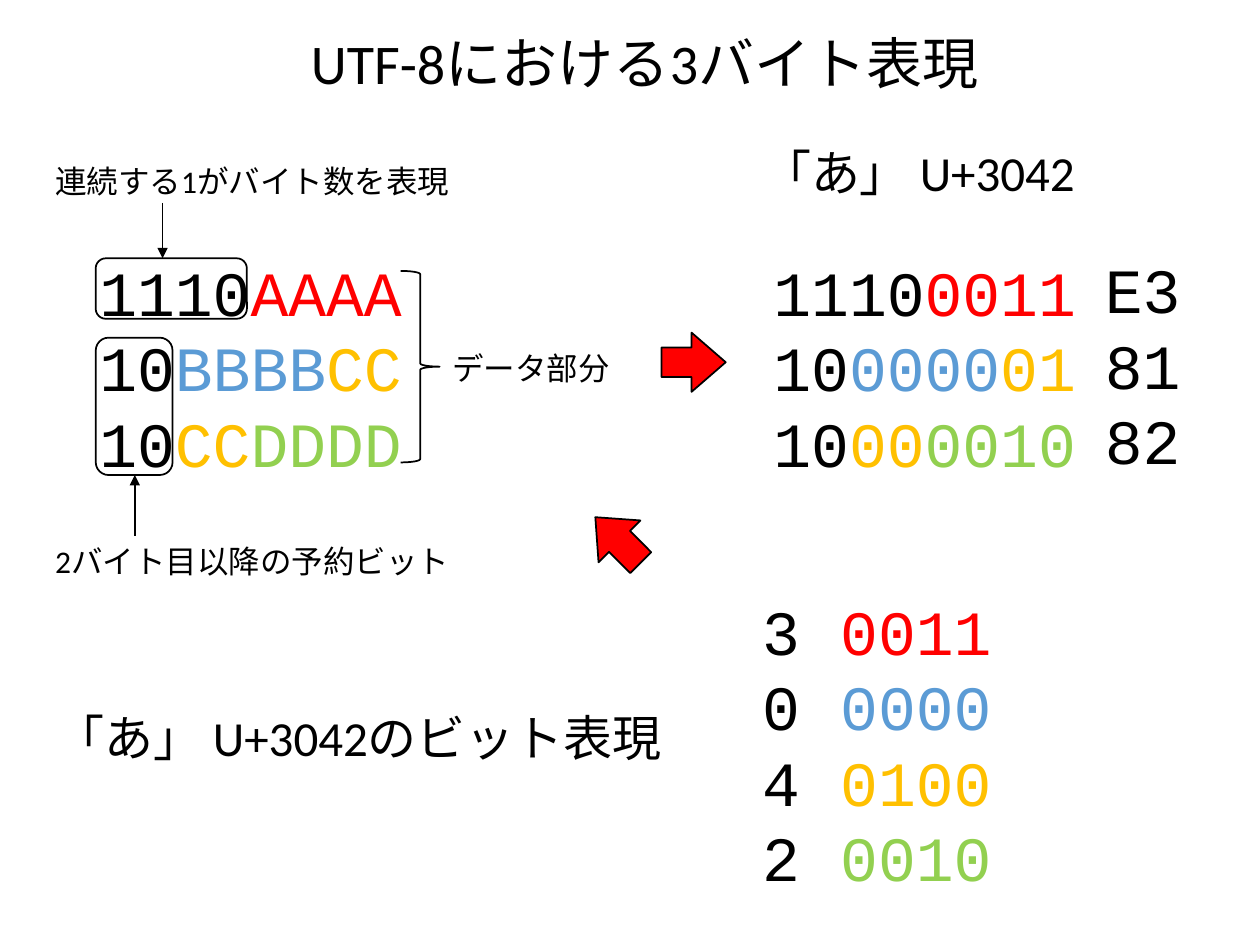
from lxml.etree import SubElement
from pptx import Presentation
from pptx.dml.color import RGBColor
from pptx.enum.shapes import MSO_CONNECTOR, MSO_SHAPE
from pptx.oxml.ns import qn
from pptx.util import Inches, Pt

BLACK = RGBColor(0x00, 0x00, 0x00)
RED = RGBColor(0xFF, 0x00, 0x00)
BLUE = RGBColor(0x5B, 0x9B, 0xD5)
GOLD = RGBColor(0xFF, 0xC0, 0x00)
GREEN = RGBColor(0x92, 0xD0, 0x50)


def add_text(slide, box, rows, size, font="Calibri", wrap=True):
    """Each row is a list of (text, colour) runs."""
    frame = slide.shapes.add_textbox(*map(Inches, box)).text_frame
    frame.word_wrap = wrap
    for index, row in enumerate(rows):
        paragraph = frame.add_paragraph() if index else frame.paragraphs[0]
        for text, colour in row:
            run = paragraph.add_run()
            run.text = text
            run.font.size = Pt(size)
            run.font.name = font
            run.font.color.rgb = colour


def add_label(slide, box, text, size=18):
    add_text(slide, box, [[(text, BLACK)]], size)


def add_code(slide, box, rows):
    add_text(slide, box, rows, 36, "Courier New", wrap=False)


def add_outline(slide, preset, box, fill=None):
    shape = slide.shapes.add_shape(preset, *map(Inches, box))
    shape.shadow.inherit = False
    if fill is None:
        shape.fill.background()
    else:
        shape.fill.solid()
        shape.fill.fore_color.rgb = fill
    shape.line.color.rgb = BLACK
    shape.line.width = Pt(1)
    return shape


def add_pointer(slide, x, start, end):
    """Vertical line with an arrowhead at its end."""
    connector = slide.shapes.add_connector(
        MSO_CONNECTOR.STRAIGHT, Inches(x), Inches(start), Inches(x), Inches(end))
    connector.line.color.rgb = BLACK
    connector.line.width = Pt(1)
    SubElement(connector.line._get_or_add_ln(), qn("a:tailEnd"), type="triangle")
    SubElement(connector._element.spPr, qn("a:effectLst"))


def add_block_arrow(slide, left, top, rotation=0):
    arrow = add_outline(slide, MSO_SHAPE.RIGHT_ARROW, (left, top, 0.51, 0.47), RED)
    arrow.adjustments[1] = 0.577
    arrow.rotation = rotation


def add_byte_layout(slide, left, top):
    add_code(slide, (left + 0.35, top + 0.72, 2.63, 1.92), [
        [("1110", BLACK), ("AAAA", RED)],
        [("10", BLACK), ("BBBB", BLUE), ("CC", GOLD)],
        [("10", BLACK), ("CC", GOLD), ("DDDD", GREEN)],
    ])
    add_label(slide, (left, top, 3.36, 0.4), "連続する1がバイト数を表現")
    add_label(slide, (left, top + 3.01, 3.36, 0.4), "2バイト目以降の予約ビット")
    add_label(slide, (left + 3.15, top + 1.48, 1.46, 0.4), "データ部分")
    add_outline(slide, MSO_SHAPE.ROUNDED_RECTANGLE, (left + 0.42, top + 0.81, 1.2, 0.48))
    add_outline(slide, MSO_SHAPE.ROUNDED_RECTANGLE, (left + 0.42, top + 1.44, 0.61, 1.09))
    add_outline(slide, MSO_SHAPE.RIGHT_BRACE, (left + 2.84, top + 0.91, 0.31, 1.52))
    add_pointer(slide, left + 0.95, top + 0.37, top + 0.81)
    add_pointer(slide, left + 0.73, top + 3.01, top + 2.53)


def add_encoded_bytes(slide, left, top):
    add_label(slide, (left, top, 2.72, 0.57), "「あ」 U+3042", 28)
    add_code(slide, (left + 0.09, top + 0.88, 2.63, 1.92), [
        [("1110", BLACK), ("0011", RED)],
        [("10", BLACK), ("0000", BLUE), ("01", GOLD)],
        [("10", BLACK), ("00", GOLD), ("0010", GREEN)],
    ])
    add_code(slide, (left + 2.72, top + 0.86, 0.81, 1.92),
             [[(value, BLACK)] for value in ("E3", "81", "82")])


def add_code_point_bits(slide, left, top):
    digits = "3042"
    colours = (RED, BLUE, GOLD, GREEN)
    add_code(slide, (left + 0.62, top, 1.42, 2.52),
             [[(f"{int(digit, 16):04b}", colour)] for digit, colour in zip(digits, colours)])
    add_code(slide, (left, top, 0.51, 2.52), [[(digit, BLACK)] for digit in digits])


def main():
    presentation = Presentation()
    presentation.slide_width = Inches(10)
    presentation.slide_height = Inches(7.5)
    slide = presentation.slides.add_slide(presentation.slide_layouts[6])
    add_label(slide, (2.37, 0.18, 5.84, 0.64), "UTF-8における3バイト表現", 32)
    add_byte_layout(slide, 0.34, 1.24)
    add_encoded_bytes(slide, 5.95, 1.08)
    add_label(slide, (0.34, 5.57, 5.07, 0.57), "「あ」 U+3042のビット表現", 28)
    add_code_point_bits(slide, 5.95, 4.65)
    add_block_arrow(slide, 4.65, 4.05, rotation=225)
    add_block_arrow(slide, 5.25, 2.64)
    presentation.save("out.pptx")


if __name__ == "__main__":
    main()
